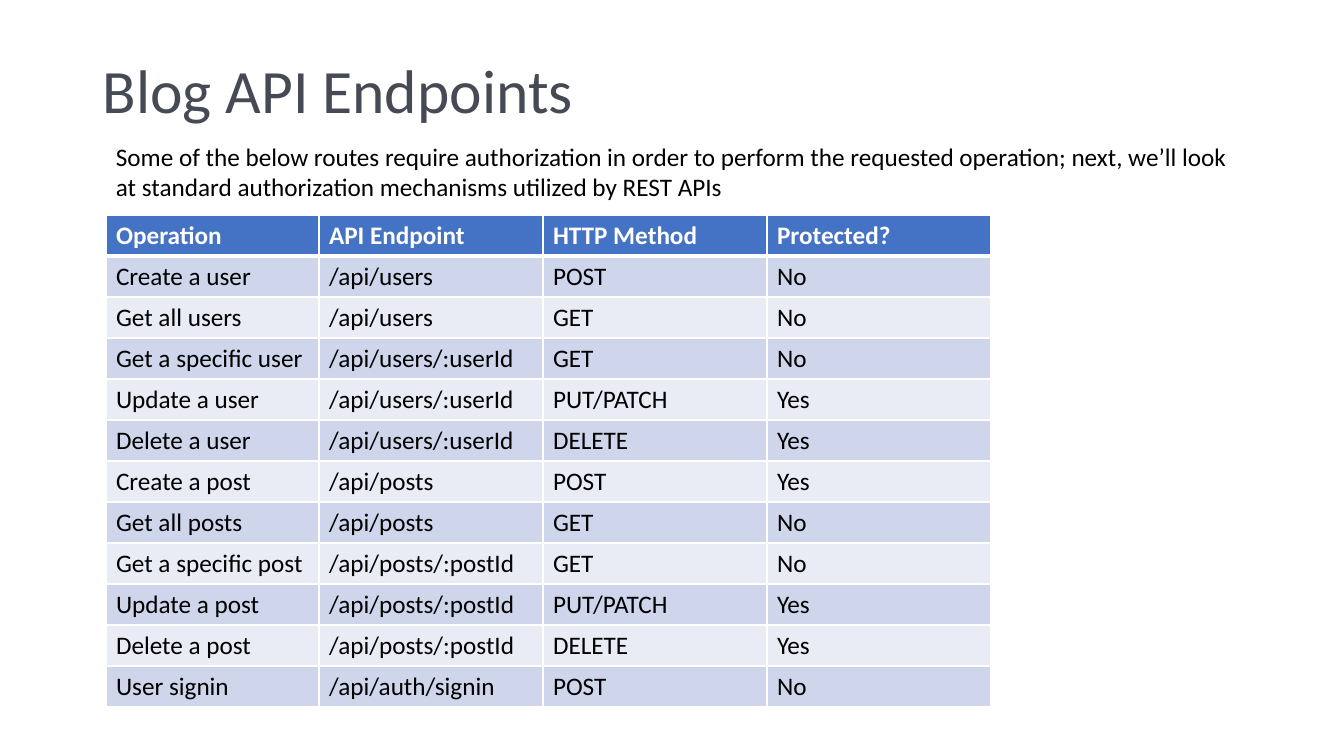
"""Build the slide that lists the blog API endpoints."""
import lxml.etree
import pptx
import pptx.dml.color
import pptx.enum.text
import pptx.oxml.ns
import pptx.util

EMU_PER_PX = 914400 / 100.8
FONT = "Calibri"
WHITE = pptx.dml.color.RGBColor(0xFF, 0xFF, 0xFF)
BLACK = pptx.dml.color.RGBColor(0x00, 0x00, 0x00)
SLATE = pptx.dml.color.RGBColor(0x45, 0x4A, 0x55)
HEADER_BLUE = pptx.dml.color.RGBColor(0x44, 0x72, 0xC4)
BAND_DARK = pptx.dml.color.RGBColor(0xCF, 0xD5, 0xEA)
BAND_LIGHT = pptx.dml.color.RGBColor(0xE9, 0xEB, 0xF5)

COLUMN_WIDTHS = (213, 224, 224, 224)
ROW_HEIGHT = 41
ENDPOINTS = (
    ("Operation", "API Endpoint", "HTTP Method", "Protected?"),
    ("Create a user", "/api/users", "POST", "No"),
    ("Get all users", "/api/users", "GET", "No"),
    ("Get a specific user", "/api/users/:userId", "GET", "No"),
    ("Update a user", "/api/users/:userId", "PUT/PATCH", "Yes"),
    ("Delete a user", "/api/users/:userId", "DELETE", "Yes"),
    ("Create a post", "/api/posts", "POST", "Yes"),
    ("Get all posts", "/api/posts", "GET", "No"),
    ("Get a specific post", "/api/posts/:postId", "GET", "No"),
    ("Update a post", "/api/posts/:postId", "PUT/PATCH", "Yes"),
    ("Delete a post", "/api/posts/:postId", "DELETE", "Yes"),
    ("User signin", "/api/auth/signin", "POST", "No"),
)


def px(length):
    """Convert pixels to EMU."""
    return pptx.util.Emu(round(length * EMU_PER_PX))


def write_text(text_frame, text, size=18, color=BLACK, bold=False, line_spacing=None):
    """Write one formatted paragraph into a text frame."""
    paragraph = text_frame.paragraphs[0]
    paragraph.line_spacing = line_spacing
    run = paragraph.add_run()
    run.text = text
    run.font.name = FONT
    run.font.size = pptx.util.Pt(size)
    run.font.bold = bold
    run.font.color.rgb = color


def add_text_box(slide, left, top, width, height, text, middle=False, **text_format):
    """Add a wrapping text box."""
    text_box = slide.shapes.add_textbox(px(left), px(top), px(width), px(height))
    text_frame = text_box.text_frame
    text_frame.word_wrap = True
    anchors = pptx.enum.text.MSO_ANCHOR
    text_frame.vertical_anchor = anchors.MIDDLE if middle else anchors.TOP
    write_text(text_frame, text, **text_format)


def add_cell_border(cell, side, points):
    """Add a solid white border to one side of a table cell."""
    qualified_name = pptx.oxml.ns.qn
    properties = cell._tc.get_or_add_tcPr()
    line = lxml.etree.SubElement(properties, qualified_name(f"a:ln{side}"))
    line.set("w", str(pptx.util.Pt(points)))
    fill = lxml.etree.SubElement(line, qualified_name("a:solidFill"))
    lxml.etree.SubElement(fill, qualified_name("a:srgbClr")).set("val", str(WHITE))


def format_cell(cell, text, row_index):
    """Fill one cell according to its row."""
    is_header = row_index == 0
    border_widths = {"L": 1, "R": 1, "T": 3 if row_index == 1 else 1, "B": 3 if is_header else 1}
    for side, points in border_widths.items():
        add_cell_border(cell, side, points)
    cell.fill.solid()
    band = BAND_DARK if row_index % 2 else BAND_LIGHT
    cell.fill.fore_color.rgb = HEADER_BLUE if is_header else band
    write_text(cell.text_frame, text, color=WHITE if is_header else BLACK, bold=is_header)


def add_endpoint_table(slide, left, top):
    """Add the table of endpoints."""
    table = slide.shapes.add_table(
        len(ENDPOINTS), len(COLUMN_WIDTHS), px(left), px(top),
        px(sum(COLUMN_WIDTHS)), px(ROW_HEIGHT * len(ENDPOINTS)),
    ).table
    for column, width in zip(table.columns, COLUMN_WIDTHS):
        column.width = px(width)
    for row_index, values in enumerate(ENDPOINTS):
        table.rows[row_index].height = px(ROW_HEIGHT)
        for column_index, text in enumerate(values):
            format_cell(table.cell(row_index, column_index), text, row_index)


def main():
    """Build and save the presentation."""
    presentation = pptx.Presentation()
    presentation.slide_width = px(1344)
    presentation.slide_height = px(756)
    slide = presentation.slides.add_slide(presentation.slide_layouts[6])
    add_text_box(slide, 93, 40, 1159, 107, "Blog API Endpoints", middle=True,
                 size=44, color=SLATE, line_spacing=0.9)
    add_endpoint_table(slide, 106, 215)
    add_text_box(slide, 106, 136, 1132, 72,
                 "Some of the below routes require authorization in order to perform "
                 "the requested operation; next, we’ll look at standard authorization "
                 "mechanisms utilized by REST APIs")
    presentation.save("out.pptx")


if __name__ == "__main__":
    main()
